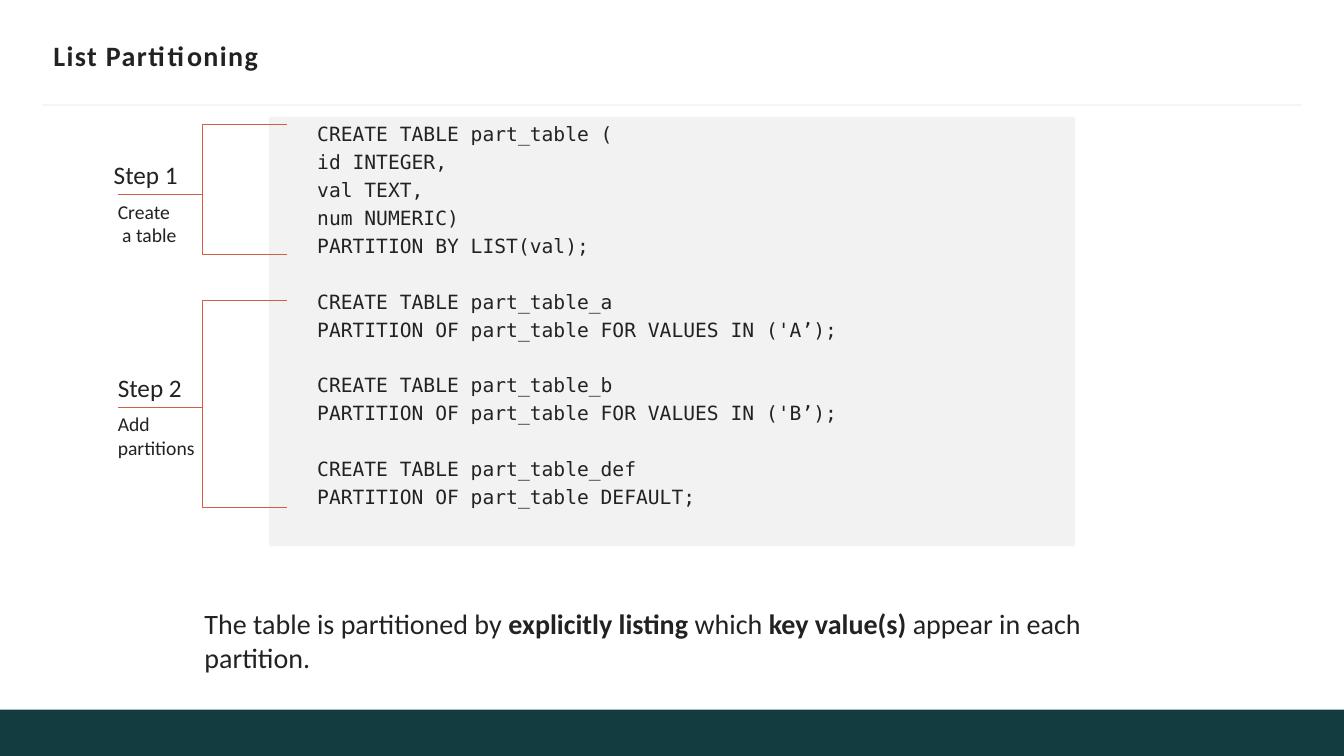
from dataclasses import dataclass

from lxml.etree import SubElement
from pptx import Presentation
from pptx.dml.color import RGBColor
from pptx.enum.shapes import MSO_CONNECTOR, MSO_SHAPE
from pptx.enum.text import MSO_ANCHOR, PP_ALIGN
from pptx.oxml.ns import qn
from pptx.util import Inches, Pt

TITLE = "List Partitioning"
STATEMENTS = [
    ["CREATE TABLE part_table (", "id INTEGER,", "val TEXT,", "num NUMERIC)",
     "PARTITION BY LIST(val);"],
    ["CREATE TABLE part_table_a", "PARTITION OF part_table FOR VALUES IN ('A’);"],
    ["CREATE TABLE part_table_b", "PARTITION OF part_table FOR VALUES IN ('B’);"],
    ["CREATE TABLE part_table_def", "PARTITION OF part_table DEFAULT;"],
]
SUMMARY = [
    ("The table is partitioned by ", False),
    ("explicitly listing ", True),
    ("which ", False),
    ("key value(s) ", True),
    ("appear in each partition.", False),
]
STEPS = [
    dict(name="Step 1", note=["Create", " a table"], left=1.03, top=1.23, middle=1.93, bottom=2.52),
    dict(name="Step 2", note=["Add", "partitions"], left=1.07, top=2.98, middle=4.04, bottom=5.03),
]


@dataclass(frozen=True)
class Theme:
    ink: str = "222222"
    band: str = "133C41"
    rule: str = "F5F5F5"
    panel: str = "F2F2F2"
    bracket: str = "D35D47"
    sans: str = "Calibri"
    mono: str = "DejaVu Sans Mono"
    large: int = 20
    medium: int = 18
    small: int = 14


THEME = Theme()
WIDTH, HEIGHT = 13.33, 7.5
BAND_HEIGHT = 0.46
CODE_INDENT = 0.38
LINE_GAP = 3.26
BLANK_LINE = 19.56
BRACKET_LEFT, BRACKET_RIGHT = 1.17, 2.85
NOTE_LEFT, LABEL_WIDTH, NAME_HEIGHT, NOTE_HEIGHT = 1.07, 1, 0.4, 0.57


def style(para, size, face=THEME.sans, bold=None):
    para.alignment = PP_ALIGN.LEFT
    para.font.size = Pt(size)
    para.font.name = face
    para.font.bold = bold
    para.font.color.rgb = RGBColor.from_string(THEME.ink)


def add_panel(page, left, top, width, height, color):
    panel = page.shapes.add_shape(
        MSO_SHAPE.RECTANGLE, Inches(left), Inches(top), Inches(width), Inches(height))
    panel.shadow.inherit = False
    panel.fill.solid()
    panel.fill.fore_color.rgb = RGBColor.from_string(color)
    panel.line.fill.background()
    return panel


def add_line(page, kind, start, end, color, weight):
    line = page.shapes.add_connector(kind, *map(Inches, start + end))
    line.line.color.rgb = RGBColor.from_string(color)
    line.line.width = Pt(weight)
    SubElement(line._element.spPr, qn("a:effectLst"))


def add_text(page, left, top, width, height, lines, size, bold=None):
    box = page.shapes.add_textbox(Inches(left), Inches(top), Inches(width), Inches(height))
    frame = box.text_frame
    frame.word_wrap = True
    frame.text = "\n".join(lines)
    for para in frame.paragraphs:
        style(para, size, bold=bold)
    return frame


def add_title(page):
    frame = add_text(page, 0.53, 0.33, 12.29, 0.44, [TITLE], THEME.large, True)
    frame.margin_left = frame.margin_right = 0
    frame.vertical_anchor = MSO_ANCHOR.MIDDLE
    frame.paragraphs[0].runs[0].font._element.set("spc", "100")


def add_code(page):
    frame = add_panel(page, WIDTH * 0.2, 1.16, WIDTH * 0.6, 4.26, THEME.panel).text_frame
    frame.vertical_anchor = MSO_ANCHOR.TOP
    frame.margin_left = Inches(0.1 + CODE_INDENT)
    frame.text = "\n".join(line for statement in STATEMENTS for line in statement)
    paras = iter(frame.paragraphs)
    for block, statement in enumerate(STATEMENTS):
        for row, _ in enumerate(statement):
            para = next(paras)
            style(para, THEME.small, THEME.mono)
            opens_block = block > 0 and row == 0
            para.space_before = Pt(LINE_GAP + BLANK_LINE * opens_block if block + row else 0)


def add_step(page, step):
    middle = step["middle"]
    for edge in (step["top"], step["bottom"]):
        add_line(page, MSO_CONNECTOR.ELBOW, (BRACKET_RIGHT, edge), (BRACKET_LEFT, middle),
                 THEME.bracket, 0.5)
    add_text(page, step["left"], middle - NAME_HEIGHT, LABEL_WIDTH, NAME_HEIGHT,
             [step["name"]], THEME.medium)
    add_text(page, NOTE_LEFT, middle, LABEL_WIDTH, NOTE_HEIGHT, step["note"], THEME.small)


def add_summary(page):
    frame = add_text(page, 1.93, 5.97, 9.83, 0.74, [""], THEME.large)
    for text, bold in SUMMARY:
        span = frame.paragraphs[0].add_run()
        span.text = text
        span.font.bold = bold


def main():
    deck = Presentation()
    deck.slide_width, deck.slide_height = Inches(WIDTH), Inches(HEIGHT)
    page = deck.slides.add_slide(deck.slide_layouts[6])
    add_panel(page, 0, HEIGHT - BAND_HEIGHT, WIDTH, BAND_HEIGHT, THEME.band)
    add_line(page, MSO_CONNECTOR.STRAIGHT, (0.43, 1.04), (12.9, 1.04), THEME.rule, 1.5)
    add_title(page)
    add_code(page)
    add_summary(page)
    for step in STEPS:
        add_step(page, step)
    deck.save("out.pptx")


if __name__ == "__main__":
    main()
